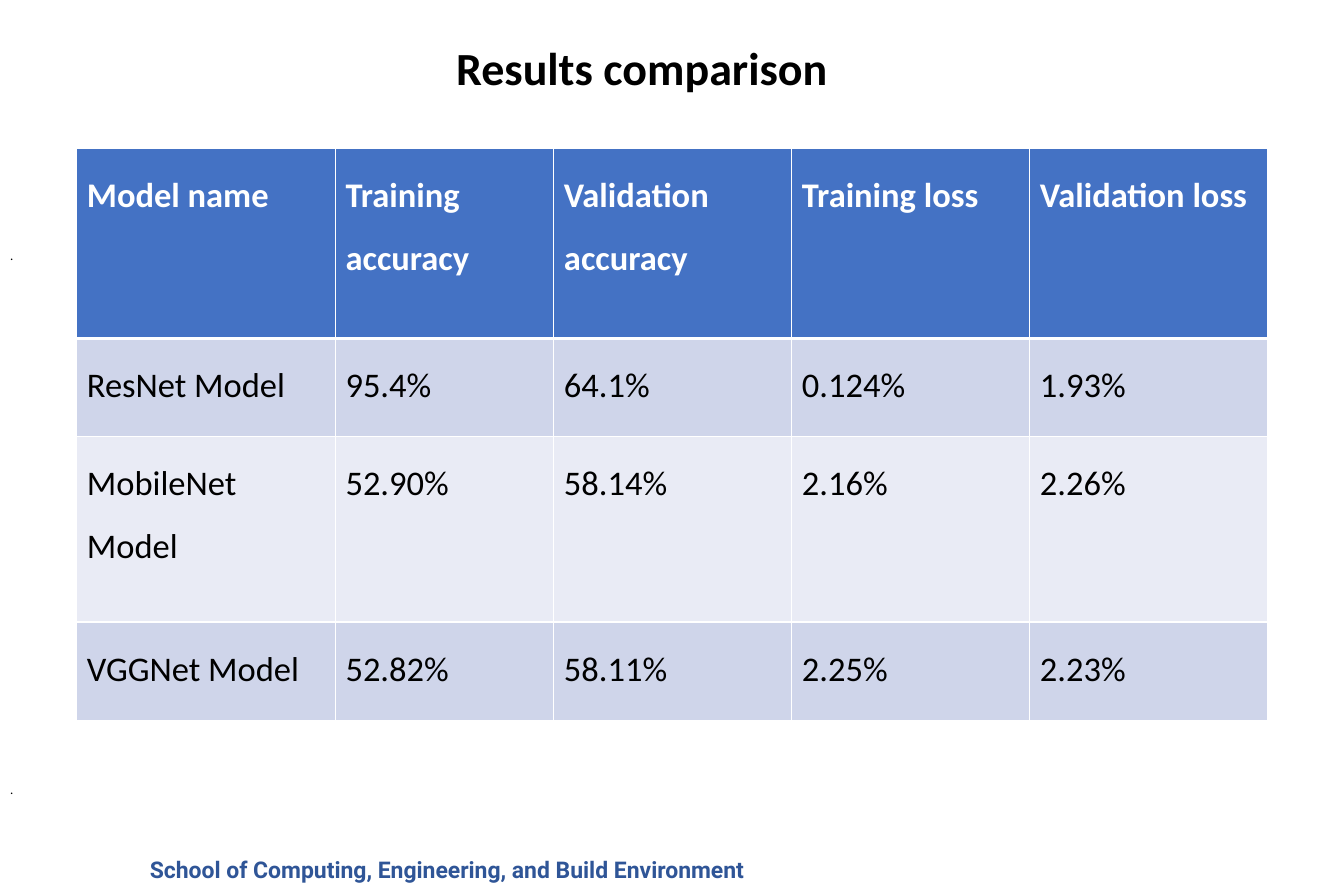
from dataclasses import dataclass

from lxml.etree import SubElement
from pptx import Presentation
from pptx.dml.color import RGBColor
from pptx.enum.text import MSO_ANCHOR
from pptx.oxml.ns import qn
from pptx.util import Pt


@dataclass(frozen=True)
class Theme:
    """Colours, fonts and type sizes of the slide."""
    ink: str = "000000"
    white: str = "FFFFFF"
    navy: str = "2F5597"
    head: str = "4472C4"
    bands: tuple = ("CFD5EA", "E9EBF5")
    face: str = "Calibri"
    foot_face: str = "Roboto"
    title: float = 32
    cell: float = 24
    foot: float = 16
    dot: float = 8.9


THEME = Theme()
COLS = (180, 152, 165.6, 165.6, 165.6)
ROWS = (132.5, 68.4, 128.9, 68.4)
DATA = (
    ("Model name", "Training accuracy", "Validation accuracy",
     "Training loss", "Validation loss"),
    ("ResNet Model", "95.4%", "64.1%", "0.124%", "1.93%"),
    ("MobileNet Model", "52.90%", "58.14%", "2.16%", "2.26%"),
    ("VGGNet Model", "52.82%", "58.11%", "2.25%", "2.23%"),
)


def add_run(para, text, size, color, bold=False, face=THEME.face):
    """Add one styled run to a paragraph."""
    run = para.add_run()
    run.text = text
    font = run.font
    font.name, font.size, font.bold = face, Pt(size), bold
    font.color.rgb = RGBColor.from_string(color)


def add_label(slide, box, text, size, color, bold=False, face=THEME.face,
              anchor=MSO_ANCHOR.TOP, space=1.0):
    """Place a one-line text box in the given box."""
    frame = slide.shapes.add_textbox(*map(Pt, box)).text_frame
    frame.word_wrap = True
    frame.vertical_anchor = anchor
    para = frame.paragraphs[0]
    para.line_spacing = space
    add_run(para, text, size, color, bold, face)


def set_edges(cell, top, bottom):
    """Draw white edges round a cell, with set top and bottom widths."""
    props = cell._tc.get_or_add_tcPr()
    for side, width in (("L", 1), ("R", 1), ("T", top), ("B", bottom)):
        line = SubElement(props, qn(f"a:ln{side}"), w=str(Pt(width)))
        fill = SubElement(line, qn("a:solidFill"))
        SubElement(fill, qn("a:srgbClr"), val=THEME.white)


def fill_cell(cell, text, row):
    """Style one cell by its row and write its text."""
    head = row == 0
    set_edges(cell, 3 if row == 1 else 1, 3 if head else 1)
    cell.fill.solid()
    shade = THEME.head if head else THEME.bands[(row - 1) % 2]
    cell.fill.fore_color.rgb = RGBColor.from_string(shade)
    para = cell.text_frame.paragraphs[0]
    para.line_spacing = 1.5
    add_run(para, text, THEME.cell, THEME.white if head else THEME.ink, head)


def add_results(slide, left, top):
    """Place the table of model results at the given corner."""
    box = (left, top, sum(COLS), sum(ROWS))
    table = slide.shapes.add_table(len(ROWS), len(COLS), *map(Pt, box)).table
    for col, width in zip(table.columns, COLS):
        col.width = Pt(width)
    for row, height in zip(table.rows, ROWS):
        row.height = Pt(height)
    for row, texts in enumerate(DATA):
        for col, text in enumerate(texts):
            fill_cell(table.cell(row, col), text, row)


def add_dots(slide, low, high):
    """Place the two small dots at the left edge."""
    for box, anchor in ((low, MSO_ANCHOR.MIDDLE), (high, MSO_ANCHOR.TOP)):
        add_label(slide, box, ".", THEME.dot, THEME.ink,
                  anchor=anchor, space=0.9)


def main():
    """Build the slide and save it."""
    deck = Presentation()
    deck.slide_width, deck.slide_height = Pt(935.3), Pt(619.2)
    slide = deck.slides.add_slide(deck.slide_layouts[6])
    add_dots(slide, (0, 491.8, 917.3, 115.9), (0, 169.9, 64, 379.4))
    add_label(slide, (97.2, 591.8, 535.7, 26.6),
              "School of Computing, Engineering, and Build Environment",
              THEME.foot, THEME.navy, True, THEME.foot_face)
    add_label(slide, (310.3, 23.8, 476.6, 46), "Results comparison",
              THEME.title, THEME.ink, True)
    add_results(slide, 53.3, 103)
    deck.save("out.pptx")


if __name__ == "__main__":
    main()
